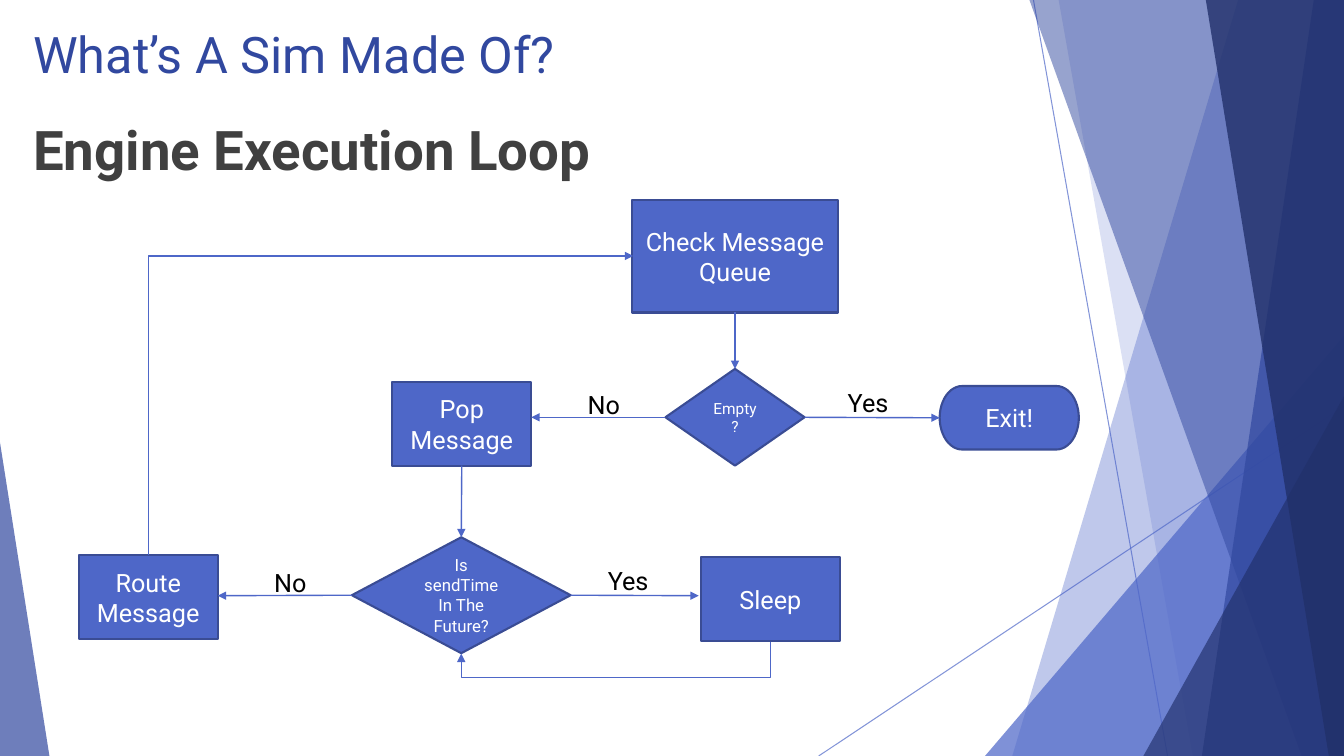
import pptx
import pptx.util
import pptx.dml.color
import pptx.enum.shapes
import pptx.enum.text
import pptx.oxml.ns
from lxml import etree

Inches = pptx.util.Inches
MSO = pptx.enum.shapes.MSO_SHAPE
CONN = pptx.enum.shapes.MSO_CONNECTOR
ALIGN = pptx.enum.text.PP_ALIGN
ANCHOR = pptx.enum.text.MSO_ANCHOR
qn = pptx.oxml.ns.qn

BLUE, DARK, NAVY, EDGE = "4E67C8", "31489F", "21306A", "3A4C94"


def paint(fill, color):
    fill.solid()
    fill.fore_color.rgb = pptx.dml.color.RGBColor.from_string(color)


def write(sp, text, size=18, color="000000", bold=False, align=ALIGN.LEFT, anchor=ANCHOR.TOP):
    tf = sp.text_frame
    tf.word_wrap = True
    tf.auto_size = pptx.enum.text.MSO_AUTO_SIZE.NONE
    tf.vertical_anchor = anchor
    p = tf.paragraphs[0]
    p.alignment = align
    p.space_before = pptx.util.Pt(0)
    r = p.add_run()
    r.text = text
    r.font.name = "Roboto"
    r.font.size = pptx.util.Pt(size)
    r.font.bold = bold
    paint(r.font.fill, color)


prs = pptx.Presentation()
prs.slide_width, prs.slide_height = Inches(13.33), Inches(7.5)
s = prs.slides.add_slide(prs.slide_layouts[1])

title, body = s.placeholders[0], s.placeholders[1]
for sp, box in ((title, (0.23, 0.18, 9.4, 1.44)), (body, (0.23, 1.1, 10.83, 5.39))):
    sp.left, sp.top, sp.width, sp.height = map(Inches, box)
pPr = body.text_frame.paragraphs[0]._p.get_or_add_pPr()
pPr.set("marL", "0")
pPr.set("indent", "0")
etree.SubElement(pPr, qn("a:buNone"))
write(title, "What’s A Sim Made Of?", size=36, color=DARK)
write(body, "Engine Execution Loop", size=39, color="404040", bold=True)

lines = []
for ends in ((10.25, 0, 11.58, 7.5), (13.33, 4.03, 8.12, 7.5)):
    c = s.shapes.add_connector(CONN.STRAIGHT, *map(Inches, ends))
    lines.append((c, 0.75, 70, False))

facets = [
    ("band", (12.28, 13.33, 13.33, 10.04), BLUE, 36),
    ("band", (10.5, 13.33, 13.33, 11.83), BLUE, 20),
    ("triangle", (9.77, 3.33, 3.56, 4.17, 1), BLUE, 72),
    ("band", (10.21, 13.33, 13.33, 12.91), DARK, 50),
    ("band", (13.03, 13.33, 13.33, 11.92), DARK, 70),
    ("band", (11.96, 13.33, 13.33, 13.18), NAVY, 80),
    ("triangle", (11.34, 3.93, 1.99, 3.57, 1), NAVY, 66),
    ("triangle", (0, 4.39, 0.49, 3.11, 0), DARK, 70),
]
for kind, dims, color, alpha in facets:
    if kind == "band":
        corners = [(Inches(x), Inches(y)) for x, y in zip(dims, (0, 0, 7.5, 7.5))]
        fb = s.shapes.build_freeform(*corners[0])
        fb.add_line_segments(corners[1:], close=True)
        sp = fb.convert_to_shape()
    else:
        sp = s.shapes.add_shape(MSO.ISOSCELES_TRIANGLE, *map(Inches, dims[:4]))
        sp.adjustments[0] = dims[4]
    sp.shadow.inherit = False
    paint(sp.fill, color)
    sp.line.fill.background()
    clr = sp._element.spPr.find(".//" + qn("a:srgbClr"))
    etree.SubElement(clr, qn("a:alpha"), val=str(alpha * 1000))

PROCESS, DECISION = MSO.FLOWCHART_PROCESS, MSO.FLOWCHART_DECISION
steps = [
    ("check", PROCESS, (6.27, 1.98, 2.04, 1.12), "Check Message Queue", 18),
    ("empty", DECISION, (6.6, 3.66, 1.38, 0.96), "Empty?", 11),
    ("exit", MSO.FLOWCHART_TERMINATOR, (9.32, 3.83, 1.38, 0.63), "Exit!", 18),
    ("pop", PROCESS, (3.89, 3.79, 1.38, 0.83), "Pop Message", 18),
    ("future", DECISION, (3.49, 5.33, 2.17, 1.15), "Is sendTime In The Future?", 12),
    ("sleep", PROCESS, (6.95, 5.53, 1.38, 0.83), "Sleep", 18),
    ("route", PROCESS, (0.78, 5.51, 1.38, 0.83), "Route Message", 18),
]
nodes = {}
for name, shape, box, text, size in steps:
    sp = s.shapes.add_shape(shape, *map(Inches, box))
    sp.shadow.inherit = False
    paint(sp.fill, BLUE)
    paint(sp.line.fill, EDGE)
    sp.line.width = pptx.util.Pt(1.5)
    write(sp, text, size=size, color="FFFFFF", align=ALIGN.CENTER, anchor=ANCHOR.MIDDLE)
    nodes[name] = sp

arrows = [
    ("check", 2, "empty", 0, (7.29, 3.66)),
    ("empty", 3, "exit", 1, (9.32, 4.14)),
    ("empty", 1, None, None, (5.27, 4.14)),
    ("pop", 2, "future", 0, (4.58, 5.33)),
    ("future", 3, None, None, (6.93, 5.91)),
    ("future", 1, None, None, (2.16, 5.91)),
]
for start, side, end, end_side, tip in arrows:
    x, y = map(Inches, tip)
    c = s.shapes.add_connector(CONN.STRAIGHT, x, y, x, y)
    c.begin_connect(nodes[start], side)
    if end:
        c.end_connect(nodes[end], end_side)
    lines.append((c, 1, 100, True))

elbows = [
    ("bentConnector3", (6.05, 4.89, 6.17, 7.96), 297100),
    ("bentConnector2", (5.36, 6.43, 2.39, 1.62), None),
]
for preset, ends, bend in elbows:
    c = s.shapes.add_connector(CONN.ELBOW, *map(Inches, ends))
    spPr = c._element.spPr
    spPr.find(qn("a:xfrm")).set("rot", "5400000")
    geom = spPr.find(qn("a:prstGeom"))
    geom.set("prst", preset)
    if bend:
        etree.SubElement(geom.find(qn("a:avLst")), qn("a:gd"), name="adj1", fmla=f"val {bend}")
    lines.append((c, 1, 100, True))

for c, width, alpha, arrow in lines:
    paint(c.line.fill, BLUE)
    c.line.width = pptx.util.Pt(width)
    spPr = c._element.spPr
    ln = spPr.find(qn("a:ln"))
    if alpha < 100:
        etree.SubElement(ln.find(".//" + qn("a:srgbClr")), qn("a:alpha"), val=str(alpha * 1000))
    if arrow:
        etree.SubElement(ln, qn("a:tailEnd"), type="triangle")
    etree.SubElement(spPr, qn("a:effectLst"))

for text, x, y in (("Yes", 8.31, 3.79), ("No", 5.73, 3.81), ("Yes", 5.93, 5.56), ("No", 2.62, 5.58)):
    write(s.shapes.add_textbox(Inches(x), Inches(y), Inches(0.94), Inches(0.4)), text)

prs.save("out.pptx")
